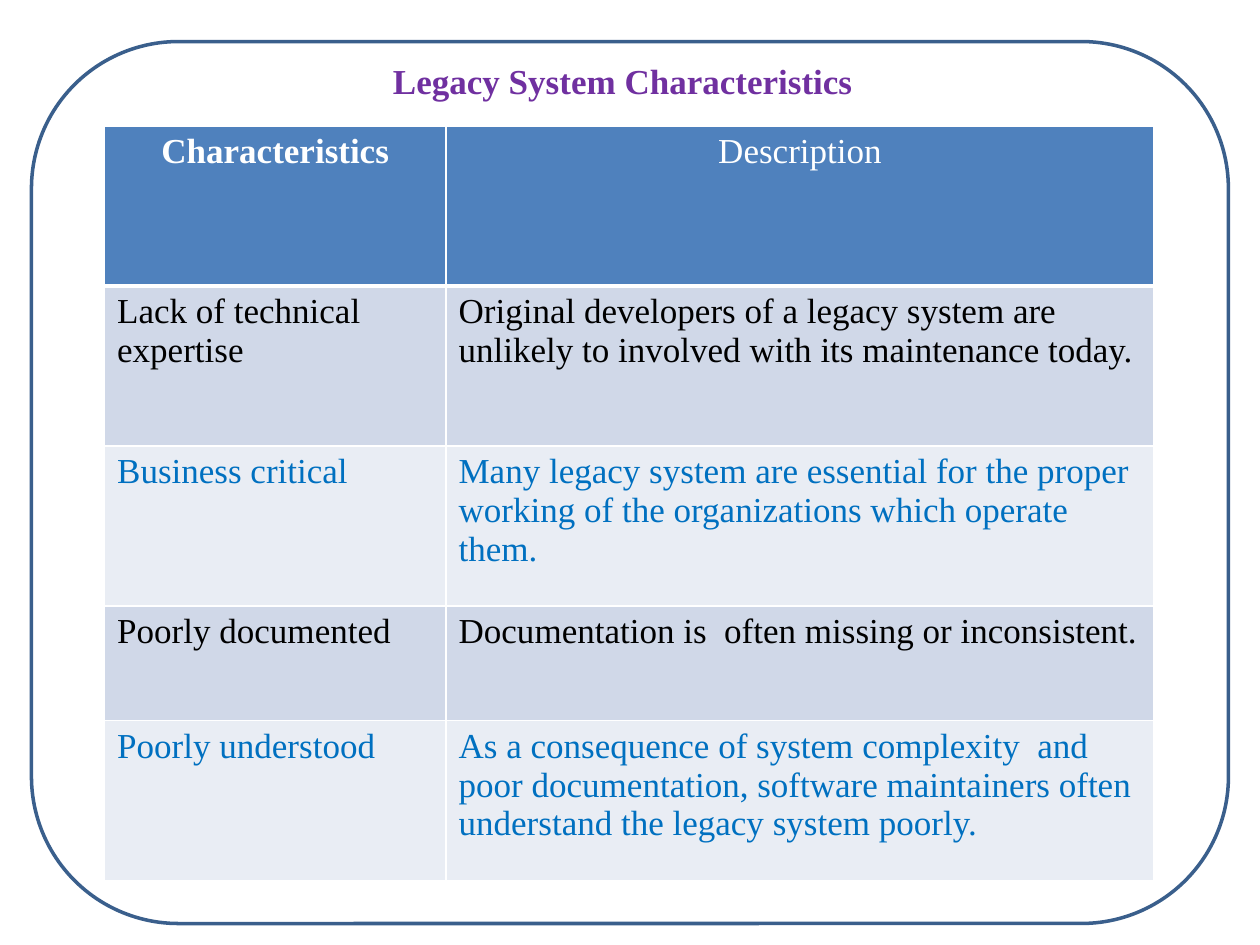
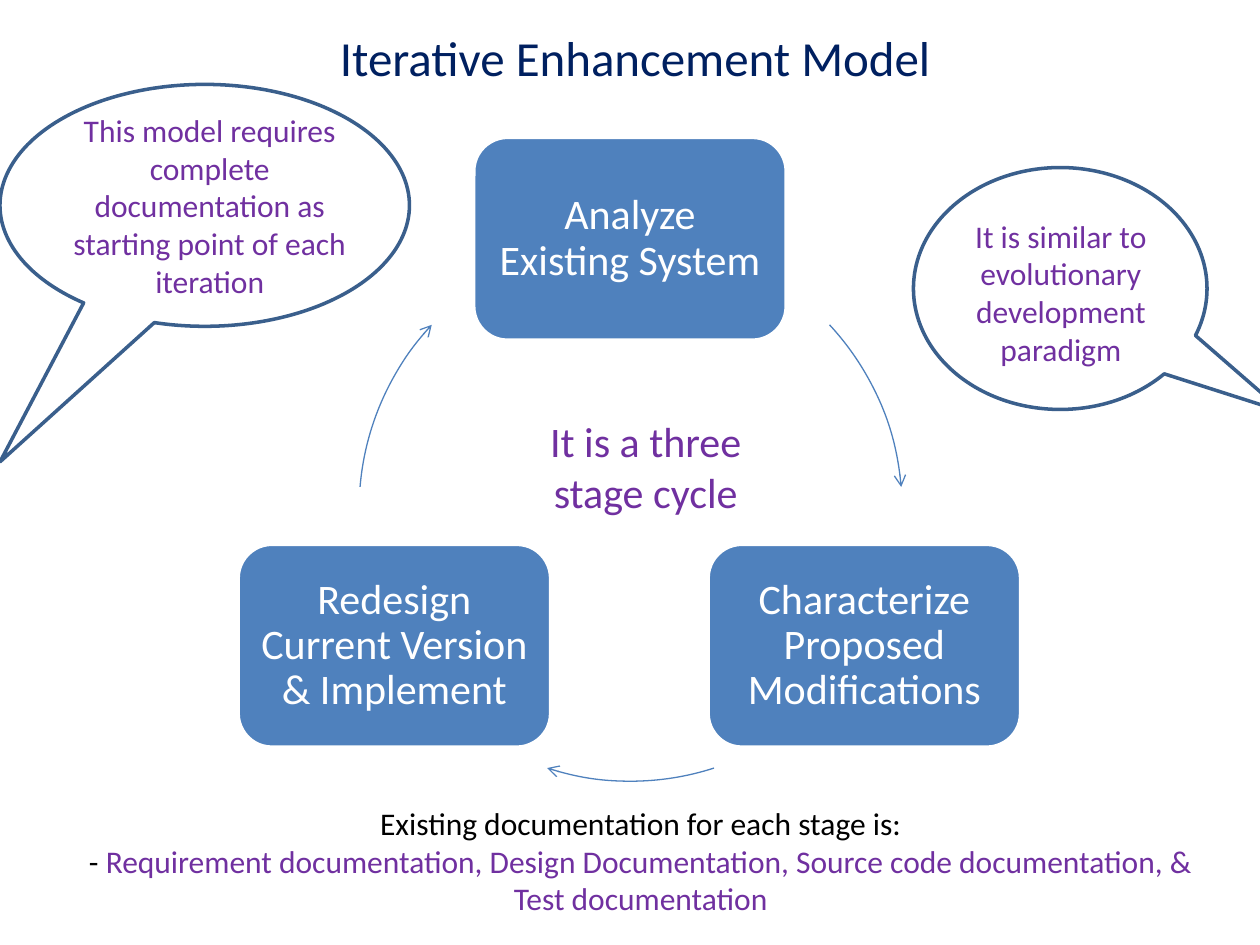
"""Build two slides on legacy systems and the iterative enhancement model."""
from dataclasses import dataclass
from typing import Any

from lxml.etree import SubElement
from pptx import Presentation
from pptx.dml.color import RGBColor
from pptx.enum.shapes import MSO_SHAPE
from pptx.enum.text import MSO_ANCHOR, MSO_AUTO_SIZE, PP_ALIGN
from pptx.oxml.ns import qn
from pptx.util import Inches, Pt


@dataclass(frozen=True)
class Theme:
    white: str = "FFFFFF"
    black: str = "000000"
    blue: str = "4F81BD"
    outline: str = "3A5F8C"
    purple: str = "7030A0"
    navy: str = "002060"
    accent: str = "0070C0"
    bands: tuple[str, str] = ("D0D8E8", "E9EDF4")
    serif: str = "Times New Roman"
    sans: str = "Calibri"
    title: int = 28
    stage: int = 24
    table: int = 20
    body: int = 18


THEME = Theme()


@dataclass(frozen=True)
class Box:
    left: float
    top: float
    width: float
    height: float

    def lengths(self) -> tuple[int, ...]:
        return tuple(Inches(value) for value in (self.left, self.top, self.width, self.height))


@dataclass(frozen=True)
class TextStyle:
    color: str
    size: int
    font: str = THEME.sans
    bold: bool = False


@dataclass(frozen=True)
class Callout:
    bubble: Box
    tail: tuple[float, float]
    text_box: Box
    text: str


@dataclass(frozen=True)
class Stage:
    left: float
    top: float
    text: str


Run = tuple[str, TextStyle]

TABLE_BOX = Box(0.83, 1, 8.33, 6)
COLUMN_WIDTHS = (2.71, 5.62)
ROW_HEIGHTS = (1.27, 1.27, 1.27, 0.91, 1.27)
HEADINGS = ("Characteristics", "Description")
CHARACTERISTICS = (
    ("Lack of technical expertise",
     "Original developers of a legacy system are unlikely to involved with its maintenance today."),
    ("Business critical",
     "Many legacy system are essential for the proper working of the organizations which operate them."),
    ("Poorly documented", "Documentation is  often missing or inconsistent."),
    ("Poorly understood",
     "As a consequence of system complexity  and poor documentation, software maintainers "
     "often understand the legacy system poorly."),
)

STAGE_SIZE = (2.48, 1.61)
STAGES = (
    Stage(3.76, 1.09, "Analyze Existing System"),
    Stage(5.62, 4.32, "Characterize Proposed Modifications"),
    Stage(1.89, 4.32, "Redesign Current Version & Implement"),
)
CYCLE_BOX = Box(2.85, 1.89, 4.31, 4.31)
ARROW_ANGLES = ((317.1, 355.2), (72.1, 107.9), (184.8, 222.9))
CALLOUTS = (
    Callout(Box(0, 0.67, 3.25, 1.92), (-0.5, 1.06), Box(0.33, 0.83, 2.67, 1.62),
            "This model requires complete documentation as starting point of each iteration"),
    Callout(Box(7.25, 1.33, 2.33, 1.92), (0.76, 0.51), Box(7.42, 1.67, 2, 1.31),
            "It is similar to evolutionary development paradigm"),
)


def set_values(target: Any, values: dict[str, Any]) -> None:
    """Set each named attribute on the target."""
    for name, value in values.items():
        setattr(target, name, value)


def write_runs(paragraph: Any, runs: list[Run], align: PP_ALIGN) -> None:
    """Fill a paragraph with styled runs."""
    paragraph.alignment = align
    for text, style in runs:
        run = paragraph.add_run()
        run.text = text
        set_values(run.font, {"name": style.font, "size": Pt(style.size), "bold": style.bold})
        run.font.color.rgb = RGBColor.from_string(style.color)


def add_text(slide: Any, box: Box, paragraphs: list[list[Run]],
             align: PP_ALIGN = PP_ALIGN.CENTER) -> None:
    """Add a wrapping text box that grows with its text."""
    frame = slide.shapes.add_textbox(*box.lengths()).text_frame
    set_values(frame, {"word_wrap": True, "auto_size": MSO_AUTO_SIZE.SHAPE_TO_FIT_TEXT})
    for index, runs in enumerate(paragraphs):
        paragraph = frame.add_paragraph() if index else frame.paragraphs[0]
        write_runs(paragraph, runs, align)


def add_shape(slide: Any, kind: MSO_SHAPE, box: Box, fill: str | None,
              line: str, line_width: float = 2) -> Any:
    """Add a flat preset shape with a fill and an outline."""
    shape = slide.shapes.add_shape(kind, *box.lengths())
    shape.shadow.inherit = False
    if fill:
        shape.fill.solid()
        shape.fill.fore_color.rgb = RGBColor.from_string(fill)
    else:
        shape.fill.background()
    shape.line.color.rgb = RGBColor.from_string(line)
    shape.line.width = Pt(line_width)
    return shape


def add_cycle_arrow(slide: Any, angles: tuple[float, float]) -> None:
    """Add an arc with an arrowhead between two angles in degrees."""
    arc = add_shape(slide, MSO_SHAPE.ARC, CYCLE_BOX, None, THEME.blue, 0.75)
    for index, angle in enumerate(angles):
        arc.adjustments[index] = angle * 60000 / 100000
    SubElement(arc.line._get_or_add_ln(), qn("a:tailEnd"), type="arrow")


def add_stage(slide: Any, stage: Stage) -> None:
    """Add one labelled stage of the cycle."""
    box = Box(stage.left, stage.top, *STAGE_SIZE)
    frame = add_shape(slide, MSO_SHAPE.ROUNDED_RECTANGLE, box, THEME.blue, THEME.white).text_frame
    margins = {f"margin_{side}": Inches(0.1) for side in ("left", "top", "right", "bottom")}
    set_values(frame, {"word_wrap": True, "vertical_anchor": MSO_ANCHOR.MIDDLE, **margins})
    paragraph = frame.paragraphs[0]
    paragraph.line_spacing = 0.9
    write_runs(paragraph, [(stage.text, TextStyle(THEME.white, THEME.stage))], PP_ALIGN.CENTER)


def add_callout(slide: Any, callout: Callout) -> None:
    """Add a speech bubble and the text over it."""
    bubble = add_shape(slide, MSO_SHAPE.OVAL_CALLOUT, callout.bubble, THEME.white, THEME.outline)
    for index, value in enumerate(callout.tail):
        bubble.adjustments[index] = value
    add_text(slide, callout.text_box, [[(callout.text, TextStyle(THEME.purple, THEME.body))]])


def format_cell(cell: Any, fill: str, bottom_width: float) -> None:
    """Give a cell white borders and a solid fill."""
    properties = cell._tc.get_or_add_tcPr()
    for side, width in {"L": 1, "R": 1, "T": 1, "B": bottom_width}.items():
        border = SubElement(properties, qn(f"a:ln{side}"), w=str(Pt(width)))
        SubElement(SubElement(border, qn("a:solidFill")), qn("a:srgbClr"), val=THEME.white)
    cell.fill.solid()
    cell.fill.fore_color.rgb = RGBColor.from_string(fill)


def add_characteristics_table(slide: Any) -> None:
    """Add the table of characteristics with alternating rows."""
    rows = (HEADINGS, *CHARACTERISTICS)
    table = slide.shapes.add_table(len(rows), len(HEADINGS), *TABLE_BOX.lengths()).table
    for column, width in zip(table.columns, COLUMN_WIDTHS):
        column.width = Inches(width)
    for row_index, (texts, height) in enumerate(zip(rows, ROW_HEIGHTS)):
        table.rows[row_index].height = Inches(height)
        header = row_index == 0
        band = (row_index - 1) % 2
        fill = THEME.blue if header else THEME.bands[band]
        color = THEME.white if header else (THEME.black, THEME.accent)[band]
        for column_index, text in enumerate(texts):
            cell = table.cell(row_index, column_index)
            format_cell(cell, fill, 3 if header else 1)
            style = TextStyle(color, THEME.table, THEME.serif, header and column_index == 0)
            write_runs(cell.text_frame.paragraphs[0], [(text, style)],
                       PP_ALIGN.CENTER if header else PP_ALIGN.LEFT)


def build_characteristics(slide: Any) -> None:
    """Build the slide on legacy system characteristics."""
    add_shape(slide, MSO_SHAPE.ROUNDED_RECTANGLE, Box(0.25, 0.33, 9.5, 7),
              THEME.white, THEME.outline)
    add_characteristics_table(slide)
    title = TextStyle(THEME.purple, THEME.table, THEME.serif, True)
    add_text(slide, Box(3.02, 0.42, 4.48, 0.44),
             [[("Legacy System Characteristics", title)]], PP_ALIGN.LEFT)


def build_enhancement_model(slide: Any) -> None:
    """Build the slide on the iterative enhancement cycle."""
    add_text(slide, Box(1.5, 0.17, 7.08, 0.57),
             [[("Iterative Enhancement Model", TextStyle(THEME.navy, THEME.title))]])
    for stage, angles in zip(STAGES, ARROW_ANGLES):
        add_stage(slide, stage)
        add_cycle_arrow(slide, angles)
    add_text(slide, Box(4, 3.25, 2.25, 0.91),
             [[("It is a three stage cycle", TextStyle(THEME.purple, THEME.stage))]])
    for callout in CALLOUTS:
        add_callout(slide, callout)
    plain = TextStyle(THEME.black, THEME.body)
    add_text(slide, Box(0.5, 6.33, 9.17, 1.01), [
        [("Existing documentation for each stage is:", plain)],
        [("- ", plain),
         ("Requirement documentation, Design Documentation, Source code documentation, "
          "& Test documentation", TextStyle(THEME.purple, THEME.body))],
    ])


def main() -> None:
    """Create and save the presentation."""
    presentation = Presentation()
    set_values(presentation, {"slide_width": Inches(10), "slide_height": Inches(7.5)})
    for build in (build_characteristics, build_enhancement_model):
        build(presentation.slides.add_slide(presentation.slide_layouts[6]))
    presentation.save("out.pptx")


if __name__ == "__main__":
    main()
